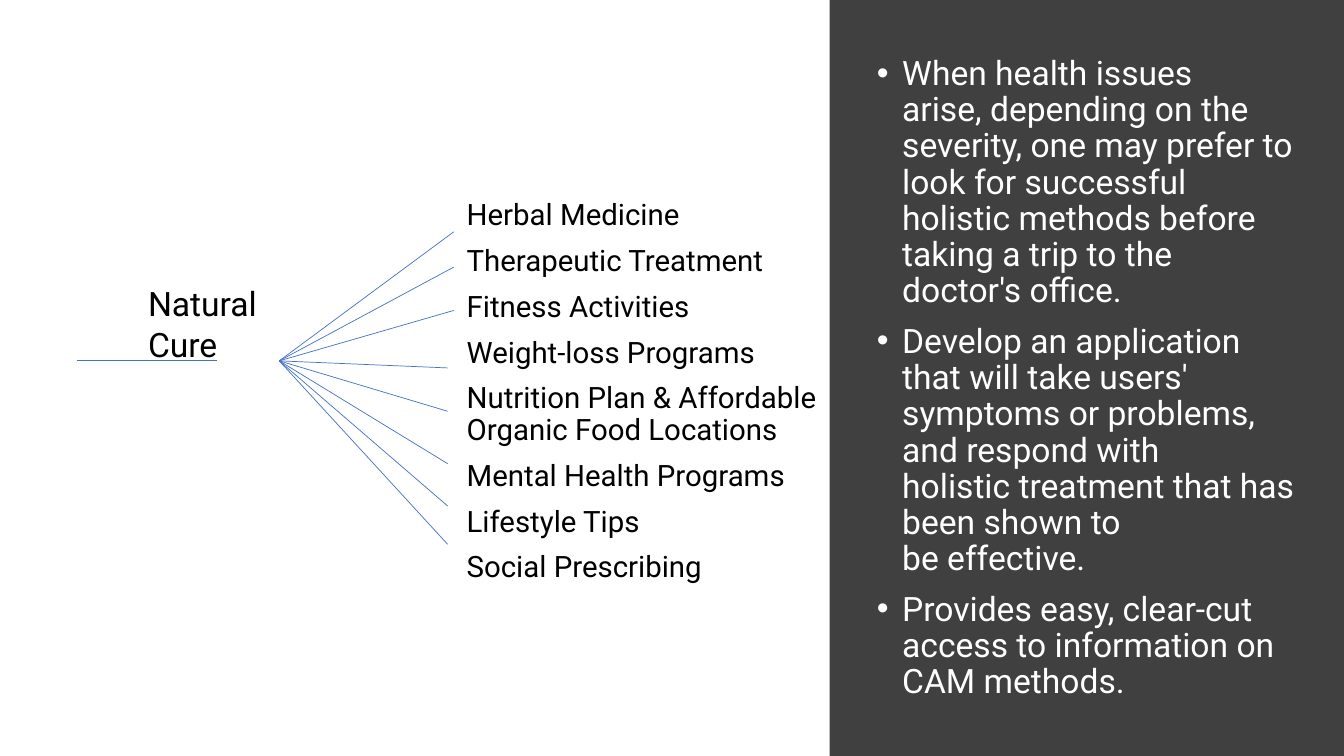
from pptx import Presentation
from pptx.dml.color import RGBColor
from pptx.enum.shapes import MSO_CONNECTOR, MSO_SHAPE
from pptx.oxml.ns import qn
from pptx.util import Inches, Pt
from lxml import etree

STRAIGHT = MSO_CONNECTOR.STRAIGHT
RECTANGLE = MSO_SHAPE.RECTANGLE
FONT = "Roboto"
COLORS = {"panel": "404040", "line": "4472C4", "dark": "000000", "light": "FFFFFF"}

# A tilde marks a space where the line must not break
NO_BREAK_SPACE = chr(160)
GOALS = [
    "When health issues arise,~depending on the severity,~one may prefer to look for~"
    "successful holistic~methods~before taking a trip~to the doctor's office.",
    "Develop an application that~will~take users' symptoms or problems, and respond with "
    "holistic~treatment that has been~shown to be~effective.",
    "Provides easy, clear-cut access to information on CAM methods.",
]
BRANCHES = [
    "Herbal Medicine",
    "Therapeutic Treatment",
    "Fitness Activities",
    "Weight-loss Programs",
    "Nutrition Plan & Affordable Organic Food Locations",
    "Mental Health Programs",
    "Lifestyle Tips",
    "Social Prescribing",
]
HUB = (2.77, 3.58)
BRANCH_ENDS = [(4.5, 2.3), (4.5, 2.65), (4.5, 3.08), (4.44, 3.65),
               (4.44, 4.08), (4.44, 4.6), (4.44, 5.02), (4.44, 5.4)]


def add_text(left, top, width, height, lines, size, color, spacing=0.9, bullets=False):
    box = page.shapes.add_textbox(Inches(left), Inches(top), Inches(width), Inches(height))
    frame = box.text_frame
    frame.word_wrap = True
    for index, line in enumerate(lines):
        para = frame.paragraphs[0] if index == 0 else frame.add_paragraph()
        para.text = line.replace("~", NO_BREAK_SPACE)
        para.line_spacing = spacing
        para.space_before = Pt(10 if index else 0)
        if bullets:
            properties = para._p.get_or_add_pPr()
            properties.set("marL", str(Inches(0.25)))
            properties.set("indent", str(Inches(-0.25)))
            etree.SubElement(properties, qn("a:buFont")).set("typeface", "Arial")
            etree.SubElement(properties, qn("a:buChar")).set("char", "•")
        para.font.name = FONT
        para.font.size = Pt(size)
        para.font.color.rgb = RGBColor.from_string(COLORS[color])


def add_line(start, end):
    line = page.shapes.add_connector(STRAIGHT, *[Inches(value) for value in (*start, *end)])
    line.line.color.rgb = RGBColor.from_string(COLORS["line"])
    line.line.width = Pt(0.5)
    etree.SubElement(line._element.spPr, qn("a:effectLst"))


deck = Presentation()
deck.slide_width = Inches(13.33)
deck.slide_height = Inches(7.5)
page = deck.slides.add_slide(deck.slide_layouts[6])

# Dark panel with the goals
panel = page.shapes.add_shape(RECTANGLE, Inches(8.23), 0, Inches(5.1), Inches(7.5))
panel.shadow.inherit = False
panel.fill.solid()
panel.fill.fore_color.rgb = RGBColor.from_string(COLORS["panel"])
panel.line.fill.background()
add_text(8.6, 0.51, 4.36, 6.5, GOALS, 24, "light", bullets=True)

# Root of the tree
add_text(1.37, 2.76, 1.77, 0.92, ["Natural Cure"], 24, "dark", spacing=1.0)
add_line((0.76, 3.58), (2.15, 3.58))

# Branches fanning out from the hub
for branch_end in BRANCH_ENDS:
    add_line(HUB, branch_end)
add_text(4.53, 1.94, 3.98, 4.55, BRANCHES, 21, "dark")

deck.save("out.pptx")
